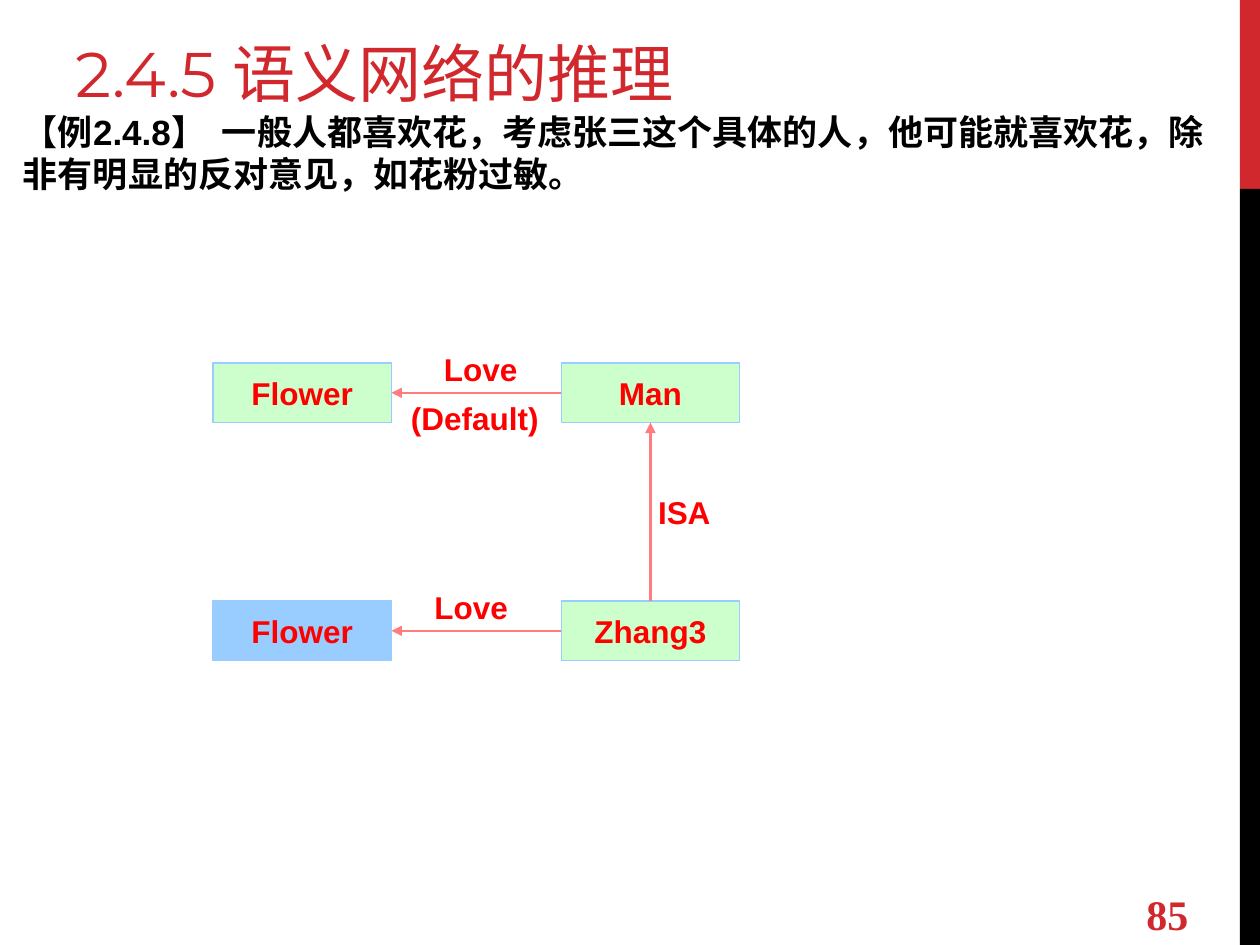
from dataclasses import dataclass

import pptx
import pptx.dml.color
import pptx.enum.shapes
import pptx.enum.text
import pptx.oxml
import pptx.oxml.ns
import pptx.util

Pt = pptx.util.Pt
Align = pptx.enum.text.PP_ALIGN
Anchor = pptx.enum.text.MSO_ANCHOR
Rectangle = pptx.enum.shapes.MSO_SHAPE.RECTANGLE


@dataclass(frozen=True)
class Theme:
    """Colours, fonts and type sizes of the slide."""
    accent: str = "D1282E"
    black: str = "000000"
    label: str = "FF0000"
    arrow: str = "FF7C80"
    green: str = "CCFFCC"
    blue: str = "99CCFF"
    heading_font: str = "Montserrat"
    body_font: str = "Arial"
    number_font: str = "Times New Roman"
    heading_size: int = 36
    number_size: int = 24
    body_size: int = 20
    label_size: int = 18


THEME = Theme()


def color(code):
    """Turn a hex code into a colour."""
    return pptx.dml.color.RGBColor.from_string(code)


def write(shape, text, font, size, ink, bold=True, align=Align.LEFT,
          anchor=Anchor.TOP, wrap=True, inset=(7.2, 3.6)):
    """Put one styled paragraph into a shape and return the paragraph."""
    frame = shape.text_frame
    frame.word_wrap = wrap
    frame.vertical_anchor = anchor
    frame.margin_left = frame.margin_right = Pt(inset[0])
    frame.margin_top = frame.margin_bottom = Pt(inset[1])
    para = frame.paragraphs[0]
    para.alignment = align
    span = para.add_run()
    span.text = text
    span.font.name = font
    span.font.size = Pt(size)
    span.font.bold = bold
    span.font.color.rgb = color(ink)
    return para


def add_text(page, box, text, *style, **options):
    """Add a text box with one styled paragraph."""
    shape = page.shapes.add_textbox(*map(Pt, box))
    return write(shape, text, *style, **options)


def add_block(page, box, fill, line=None):
    """Add a flat rectangle, outlined if a line colour is given."""
    shape = page.shapes.add_shape(Rectangle, *map(Pt, box))
    shape.shadow.inherit = False
    shape.fill.solid()
    shape.fill.fore_color.rgb = color(fill)
    if line:
        shape.line.color.rgb = color(line)
        shape.line.width = Pt(0.75)
    else:
        shape.line.fill.background()
    return shape


def add_node(page, box, text, fill):
    """Add a labelled node of the semantic network."""
    node = add_block(page, box, fill, THEME.blue)
    write(node, text, THEME.body_font, THEME.label_size, THEME.label,
          align=Align.CENTER, anchor=Anchor.MIDDLE, wrap=False)
    return node


def add_arrow(page, source, source_side, target, target_side):
    """Join two nodes with an arrow pointing at the target."""
    arrow = page.shapes.add_connector(
        pptx.enum.shapes.MSO_CONNECTOR.STRAIGHT, 0, 0, 0, 0)
    arrow.begin_connect(source, source_side)
    arrow.end_connect(target, target_side)
    arrow.line.color.rgb = color(THEME.arrow)
    arrow.line.width = Pt(1.5)
    head = pptx.oxml.parse_xml(
        f'<a:tailEnd {pptx.oxml.ns.nsdecls("a")} type="triangle"/>')
    arrow.line._get_or_add_ln().append(head)
    effects = pptx.oxml.parse_xml(f'<a:effectLst {pptx.oxml.ns.nsdecls("a")}/>')
    arrow._element.spPr.append(effects)


def add_side_bar(page, box):
    """Add the two-colour bar, red over its top fifth."""
    left, top, width, height = box
    split = height / 5
    add_block(page, (left, top, width, split), THEME.accent)
    add_block(page, (left, top + split, width, height - split), THEME.black)


def add_header(page, box):
    """Add the heading and the example statement below it."""
    left, top, width, height = box
    add_text(page, (left + 30, top, 456, 54), "2.4.5 语义网络的推理",
             THEME.heading_font, THEME.heading_size, THEME.accent,
             bold=False, anchor=Anchor.BOTTOM)
    para = add_text(
        page, (left, top + 47.5, width, height - 47.5),
        "【例2.4.8】  一般人都喜欢花，考虑张三这个具体的人，"
        "他可能就喜欢花，除非有明显的反对意见，如花粉过敏。",
        THEME.body_font, THEME.body_size, THEME.black)
    para.space_after = Pt(6)


def add_network(page, box):
    """Add the semantic network with nodes in the corners of the box."""
    left, top, width, height = box
    node_width, node_height = 102, 34
    right = left + width - node_width
    bottom = top + height - node_height

    def node(x, y, text, fill=THEME.green):
        return add_node(page, (x, y, node_width, node_height), text, fill)

    flower = node(left, top, "Flower")
    man = node(right, top, "Man")
    liked_flower = node(left, bottom, "Flower", THEME.blue)
    person = node(right, bottom, "Zhang3")
    add_arrow(page, man, 1, flower, 3)
    add_arrow(page, person, 1, liked_flower, 3)
    add_arrow(page, person, 0, man, 2)

    style = (THEME.body_font, THEME.label_size, THEME.label)
    for x, y, label_width, text in (
            (113.5, -11, 79, "Love"),
            (98.6, 17, 102, "(Default)"),
            (108, 125, 79, "Love")):
        add_text(page, (left + x, top + y, label_width, 29), text, *style,
                 align=Align.CENTER)
    add_text(page, (right + node_width / 2, top + 73.4, 57, 23), "ISA", *style,
             inset=(4.3, 0.7))


def add_page_number(page, box):
    """Add the page number."""
    add_text(page, box, "85", THEME.number_font, THEME.number_size,
             THEME.accent, anchor=Anchor.MIDDLE)


def main():
    """Build the slide and save it."""
    deck = pptx.Presentation()
    deck.slide_width, deck.slide_height = Pt(720), Pt(540)
    page = deck.slides.add_slide(deck.slide_layouts[6])
    add_side_bar(page, (708.5, 0, 11.5, 540))
    add_header(page, (6, 12.25, 707.5, 155.5))
    add_network(page, (121.7, 207.5, 301, 170))
    add_page_number(page, (648, 507.5, 103.5, 29))
    deck.save("out.pptx")


if __name__ == "__main__":
    main()
